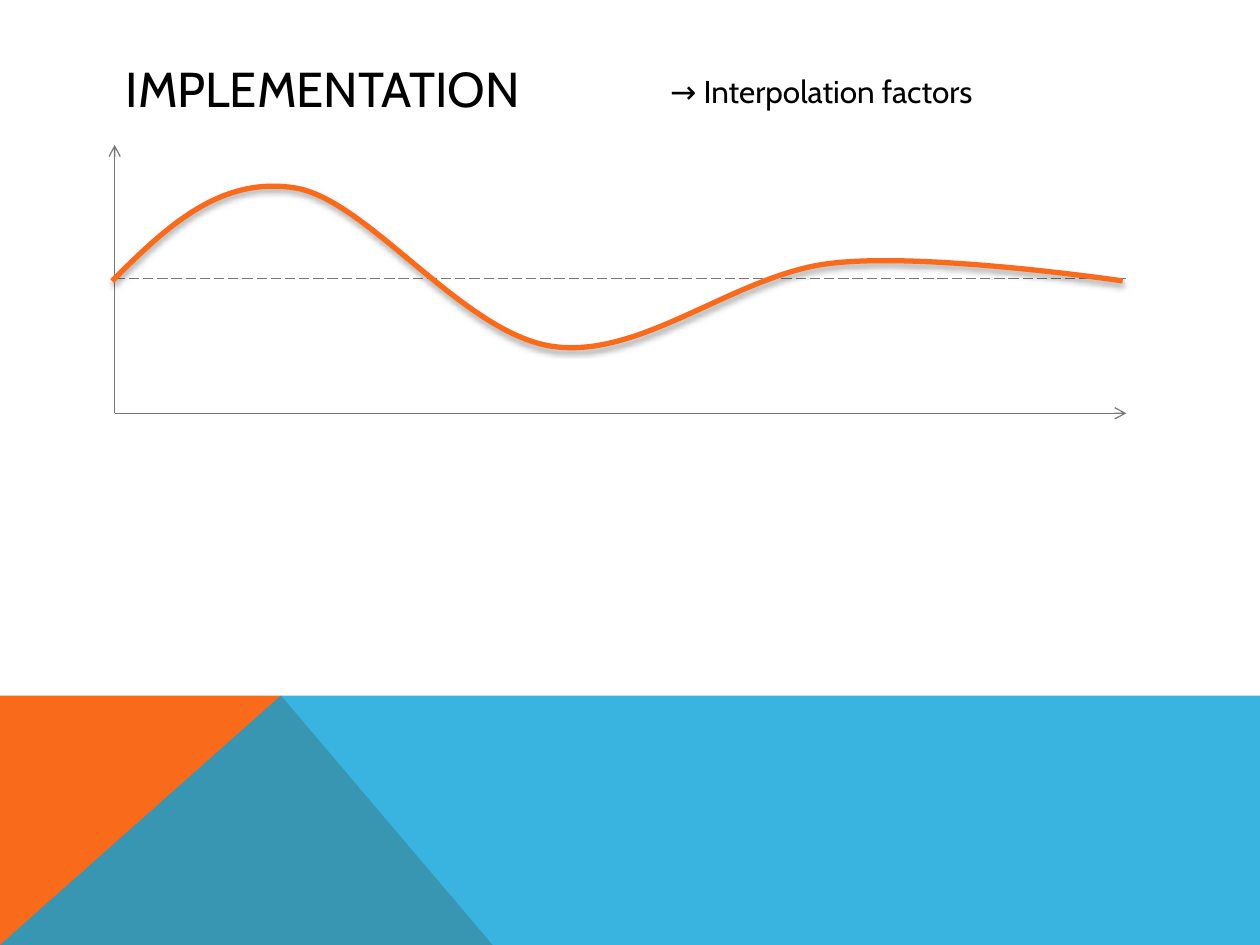
from lxml import etree
from pptx import Presentation
from pptx.dml.color import RGBColor
from pptx.enum.dml import MSO_LINE
from pptx.enum.shapes import MSO_CONNECTOR
from pptx.enum.text import MSO_ANCHOR, MSO_AUTO_SIZE
from pptx.oxml.ns import qn
from pptx.util import Inches, Pt

STRAIGHT = MSO_CONNECTOR.STRAIGHT
DASH = MSO_LINE.LONG_DASH
MIDDLE = MSO_ANCHOR.MIDDLE
GROW = MSO_AUTO_SIZE.SHAPE_TO_FIT_TEXT

ORANGE, BLUE, GREY, BLACK = "F96A1B", "08A1D9", "76787B", "000000"


def rgb(code):
    return RGBColor.from_string(code)


def add(parent, tag, **attrs):
    """Append a DrawingML child element with the given attributes."""
    node = etree.SubElement(parent, qn(tag))
    for key, val in attrs.items():
        node.set(key, str(val))
    return node


prs = Presentation()
prs.slide_width, prs.slide_height = Inches(10), Inches(7.5)
slide = prs.slides.add_slide(prs.slide_layouts[6])
shapes = slide.shapes

# Footer bands
bands = [
    (ORANGE, [(0, 7.5), (0, 5.52), (2.23, 5.52), (3.91, 7.5)]),
    (BLUE, [(0, 7.5), (2.23, 5.52), (10, 5.52), (10, 7.5)]),
]
for color, dots in bands:
    pts = [(Inches(x), Inches(y)) for x, y in dots]
    form = shapes.build_freeform(*pts[0])
    form.add_line_segments(pts[1:], close=True)
    band = form.convert_to_shape()
    band.shadow.inherit = False
    band.fill.solid()
    band.fill.fore_color.rgb = rgb(color)
    band.line.fill.background()
    if color == BLUE:
        fill = band.element.spPr.find(qn("a:solidFill"))
        add(fill[0], "a:alpha", val=80000)

# Title and subtitle
texts = [
    ("IMPLEMENTATION", (0.9, 0.4, 8.22, 0.6), 28, True),
    ("→ Interpolation factors", (5.22, 0.52, 2.74, 0.4), 18, False),
]
for words, spot, size, title in texts:
    frame = shapes.add_textbox(*map(Inches, spot)).text_frame
    frame.word_wrap = title
    if title:
        frame.vertical_anchor = MIDDLE
    else:
        frame.auto_size = GROW
    para = frame.paragraphs[0]
    para.text = words
    para.font.name = "Cabin"
    para.font.size = Pt(size)
    para.font.color.rgb = rgb(BLACK)

# Axes and dashed midline
left, right, top, mid, base = 0.91, 8.94, 1.15, 2.21, 3.28
lines = [
    (left, base, right, base, False),
    (left, base, left, top, False),
    (left, mid, right, mid, True),
]
for *ends, dashed in lines:
    line = shapes.add_connector(STRAIGHT, *map(Inches, ends))
    line.line.color.rgb = rgb(GREY)
    line.line.width = Pt(0.75)
    if dashed:
        line.line.dash_style = DASH
    else:
        add(line.element.spPr.find(qn("a:ln")), "a:tailEnd", type="arrow")
    add(line.element.spPr, "a:effectLst")

# Wave: each segment is two control points and an end point
start = (0.89, 2.23)
waves = [
    [(1.31, 1.81), (1.74, 1.4), (2.33, 1.49)],
    [(2.91, 1.57), (3.67, 2.65), (4.39, 2.75)],
    [(5.1, 2.85), (5.85, 2.17), (6.6, 2.09)],
    [(7.35, 2), (8.91, 2.23), (8.91, 2.23)],
]
form = shapes.build_freeform(*map(Inches, start))
form.add_line_segments([tuple(map(Inches, seg[-1])) for seg in waves], close=False)
wave = form.convert_to_shape()
wave.fill.background()
wave.line.color.rgb = rgb(ORANGE)
wave.line.width = Pt(3)

# Turn the straight segments into Bézier curves
for step, seg in zip(list(wave.element.iter(qn("a:lnTo"))), waves):
    step.tag = qn("a:cubicBezTo")
    step.remove(step[0])
    for x, y in seg:
        add(step, "a:pt", x=Inches(x) - wave.left, y=Inches(y) - wave.top)

wave.shadow.inherit = False
glow = add(wave.element.spPr.find(qn("a:effectLst")), "a:outerShdw",
           blurRad=Pt(3.1), dist=Pt(1.8), dir=90 * 60000, rotWithShape=0)
add(add(glow, "a:srgbClr", val=BLACK), "a:alpha", val=35000)

prs.save("out.pptx")
